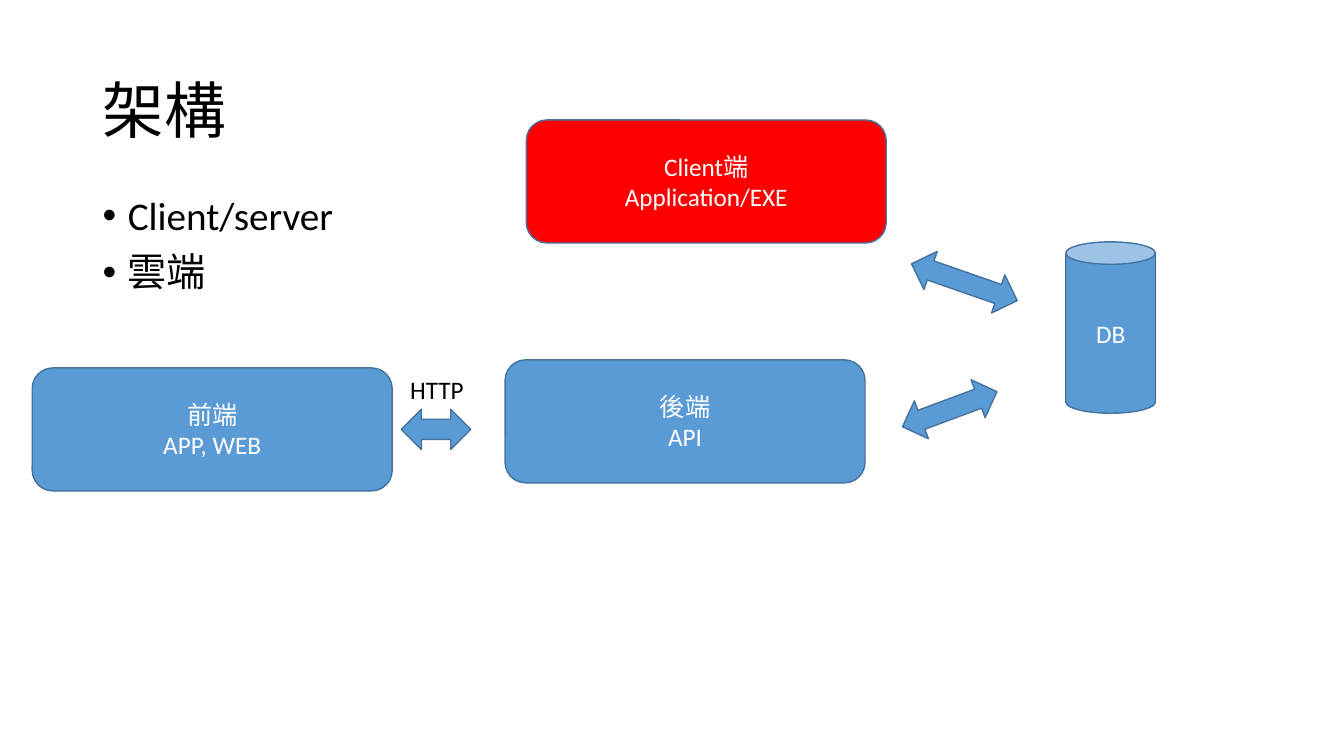
from lxml.etree import SubElement
from pptx import Presentation
from pptx.dml.color import RGBColor
from pptx.enum.shapes import MSO_SHAPE
from pptx.enum.text import MSO_ANCHOR, PP_ALIGN
from pptx.oxml.ns import qn
from pptx.util import Inches, Pt

FONT = "Calibri"
BLUE, EDGE, RED, WHITE, BLACK = "5B9BD5", "43739E", "FF0000", "FFFFFF", "000000"
BOX = (3.57, 1.22)

TITLE = "架構"
ITEMS = ["Client/server", "雲端"]
LABEL = "HTTP"
NODES = [
    (MSO_SHAPE.ROUNDED_RECTANGLE, (0.32, 3.65), BOX, BLUE, ["前端", "APP, WEB"]),
    (MSO_SHAPE.ROUNDED_RECTANGLE, (5.01, 3.57), BOX, BLUE, ["後端", "API"]),
    (MSO_SHAPE.ROUNDED_RECTANGLE, (5.22, 1.19), BOX, RED, ["Client端", "Application/EXE"]),
    (MSO_SHAPE.CAN, (10.57, 2.4), (0.89, 1.7), BLUE, ["DB"]),
]
ARROWS = [
    ((8.92, 3.86), 1, 339.6),
    ((3.98, 4.06), 0.69, 0),
    ((9.01, 2.6), 1.11, 19.2),
]


def color(code):
    return RGBColor.from_string(code)


def write(frame, lines, size, ink, align=PP_ALIGN.LEFT):
    frame.text = "\n".join(lines)
    for para in frame.paragraphs:
        para.alignment = align
        para.font.name = FONT
        para.font.size = Pt(size)
        para.font.color.rgb = color(ink)


def draw(slide, kind, spot, size, fill):
    shape = slide.shapes.add_shape(kind, *map(Inches, spot + size))
    shape.shadow.inherit = False
    shape.fill.solid()
    shape.fill.fore_color.rgb = color(fill)
    shape.line.color.rgb = color(EDGE)
    shape.line.width = Pt(1)
    return shape


def add_text(slide, spot, size, wrap):
    frame = slide.shapes.add_textbox(*map(Inches, spot + size)).text_frame
    frame.word_wrap = wrap
    return frame


def bullet(para):
    para.line_spacing = 0.9
    para.space_before = Pt(10)
    props = para._p.get_or_add_pPr()
    props.set("marL", str(Inches(0.25)))
    props.set("indent", str(-Inches(0.25)))
    font = SubElement(props, qn("a:buFont"), typeface="Arial")
    mark = SubElement(props, qn("a:buChar"), char="•")
    rest = props.find(qn("a:defRPr"))
    if rest is not None:
        rest.addprevious(font)
        rest.addprevious(mark)


def main():
    deck = Presentation()
    deck.slide_width, deck.slide_height = Inches(13.33), Inches(7.5)
    slide = deck.slides.add_slide(deck.slide_layouts[5])

    title = slide.shapes.title
    title.left, title.top = Inches(0.92), Inches(0.4)
    title.width, title.height = Inches(11.5), Inches(1.45)
    title.text_frame.vertical_anchor = MSO_ANCHOR.MIDDLE
    write(title.text_frame, [TITLE], 44, BLACK)
    title.text_frame.paragraphs[0].line_spacing = 0.9

    body = add_text(slide, (0.92, 1.9), (11.5, 4.76), True)
    write(body, ITEMS, 28, BLACK)
    for para in body.paragraphs:
        bullet(para)

    for kind, spot, size, fill, lines in NODES:
        node = draw(slide, kind, spot, size, fill)
        node.text_frame.vertical_anchor = MSO_ANCHOR.MIDDLE
        write(node.text_frame, lines, 18, WHITE, PP_ALIGN.CENTER)

    for spot, width, turn in ARROWS:
        arrow = draw(slide, MSO_SHAPE.LEFT_RIGHT_ARROW, spot, (width, 0.4), BLUE)
        arrow.rotation = turn

    write(add_text(slide, (3.97, 3.66), (0.74, 0.4), False), [LABEL], 18, BLACK)
    deck.save("out.pptx")


if __name__ == "__main__":
    main()
